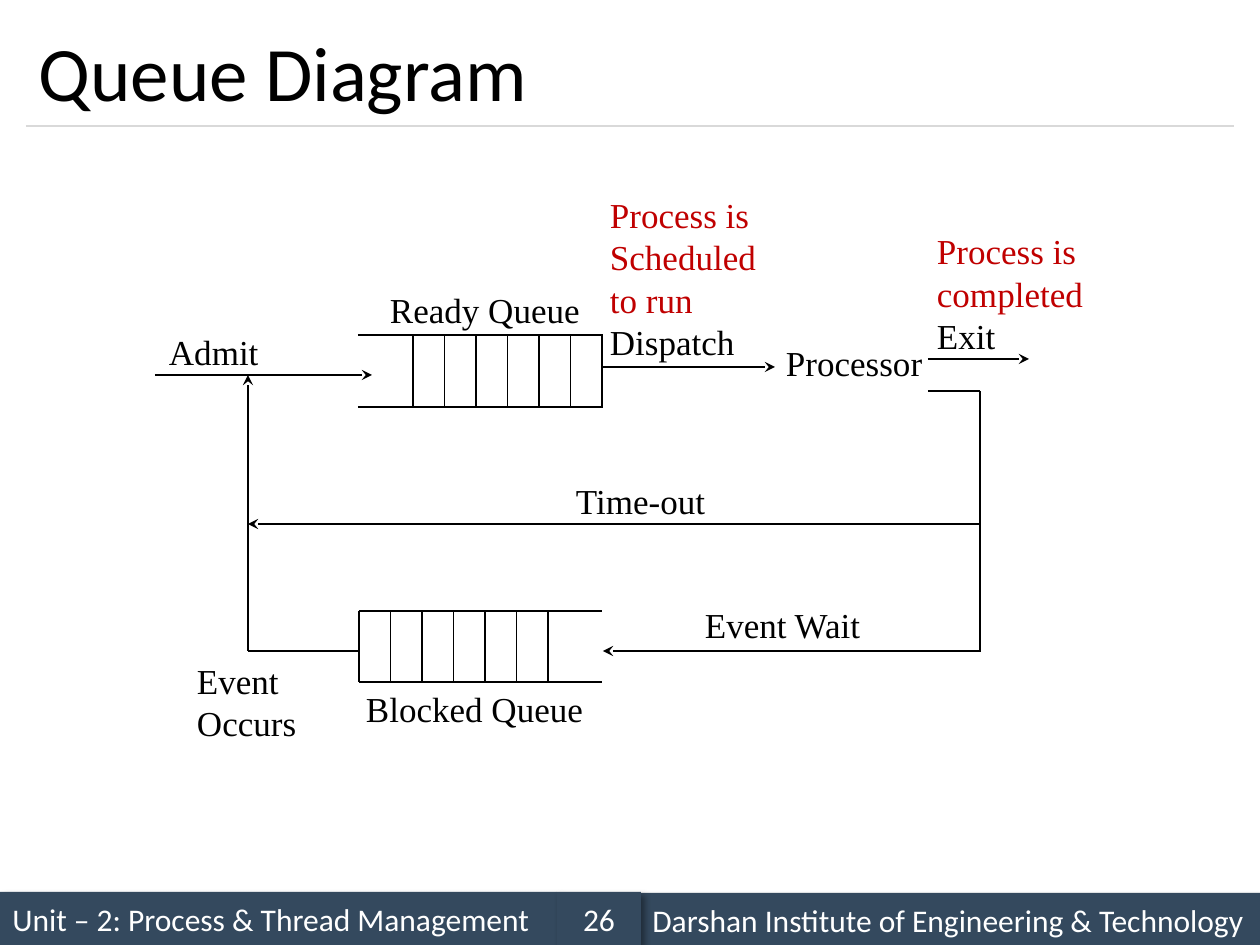
"""Build the Queue Diagram slide with python-pptx."""
from lxml import etree
from pptx import Presentation
from pptx import util as u
from pptx.dml.color import RGBColor
from pptx.enum import shapes, text
from pptx.oxml import parse_xml
from pptx.oxml.ns import nsdecls, qn

PX = 914400 / 126
THEME = {
    "black": RGBColor(0x00, 0x00, 0x00),
    "white": RGBColor(0xFF, 0xFF, 0xFF),
    "red": RGBColor(0xC0, 0x00, 0x00),
    "rule": RGBColor(0xD9, 0xD9, 0xD9),
    "bar": RGBColor(0x34, 0x49, 0x5E),
    "heading_font": "Calibri",
    "label_font": "Times New Roman",
    "title_size": u.Pt(44),
    "label_size": u.Pt(20),
    "footer_size": u.Pt(18),
}


def draw_line(page, points, color="black", width=1, arrow=False):
    ends = [round(value * PX) for value in points]
    line = page.shapes.add_connector(shapes.MSO_CONNECTOR.STRAIGHT, *ends)
    line.line.color.rgb = THEME[color]
    line.line.width = u.Pt(width)
    if arrow:
        tail = etree.SubElement(line.line._get_or_add_ln(), qn("a:tailEnd"))
        tail.set("type", "stealth")
    etree.SubElement(line._element.spPr, qn("a:effectLst"))


def add_span(para, wording, font, size, color):
    span = para.add_run()
    span.text = wording
    span.font.name = THEME[font]
    span.font.size = THEME[size]
    span.font.color.rgb = THEME[color]


deck = Presentation()
deck.slide_width = round(1260 * PX)
deck.slide_height = round(945 * PX)
page = deck.slides.add_slide(deck.slide_layouts[5])

footer_cells = [
    (0, 892, 557, "Unit – 2: Process & Thread Management", text.PP_ALIGN.LEFT),
    (640, 893, 620, "Darshan Institute of Engineering & Technology", text.PP_ALIGN.LEFT),
    (557, 892, 84, "26", text.PP_ALIGN.CENTER),
]
for left, top, width, wording, alignment in footer_cells:
    place = [round(value * PX) for value in (left, top, width, 53)]
    bar = page.shapes.add_shape(shapes.MSO_SHAPE.RECTANGLE, *place)
    bar.fill.solid()
    bar.fill.fore_color.rgb = THEME["bar"]
    bar.line.fill.background()
    bar.shadow.inherit = False
    bar._element.spPr.find(qn("a:effectLst")).append(parse_xml(
        f'<a:outerShdw {nsdecls("a")} blurRad="50800" dist="38100" dir="2700000" algn="tl" '
        'rotWithShape="0"><a:srgbClr val="000000"><a:alpha val="40000"/></a:srgbClr></a:outerShdw>'))
    frame = bar.text_frame
    frame.word_wrap = True
    frame.vertical_anchor = text.MSO_ANCHOR.MIDDLE
    para = frame.paragraphs[0]
    para.alignment = alignment
    add_span(para, wording, "heading_font", "footer_size", "white")

draw_line(page, (26, 126, 1234, 126), "rule", 0.75)

title = page.shapes.title
title.left, title.top, title.width, title.height = [round(value * PX) for value in (26, 15, 1208, 111)]
frame = title.text_frame
frame.auto_size = text.MSO_AUTO_SIZE.NONE
frame.vertical_anchor = text.MSO_ANCHOR.MIDDLE
para = frame.paragraphs[0]
para.alignment = text.PP_ALIGN.LEFT
add_span(para, "Queue Diagram", "heading_font", "title_size", "black")

queues = [
    (359, 602, 611, 682, 359, 1),
    (358, 603, 335, 407, 602, -1),
]
for left, right, top, bottom, closed_end, direction in queues:
    for edge in (top, bottom):
        draw_line(page, (left, edge, right, edge))
    for slot in range(7):
        divider = closed_end + direction * slot * 63 / 2
        draw_line(page, (divider, top, divider, bottom))

flows = [
    (155, 375, 372, 375, True),
    (603, 367, 775, 367, True),
    (928, 359, 1029, 359, True),
    (359, 651, 248, 651, False),
    (248, 651, 248, 375, True),
    (928, 391, 980, 391, False),
    (980, 391, 980, 651, False),
    (981, 651, 603, 651, True),
    (981, 524, 248, 524, True),
]
for *points, arrow in flows:
    draw_line(page, points, arrow=arrow)

labels = [
    (160, 325, 110, 52, [], ["Admit"]),
    (381, 284, 210, 52, [], ["Ready Queue"]),
    (601, 189, 168, 179, ["Process is", "Scheduled", "to run"], ["Dispatch"]),
    (567, 475, 149, 52, [], ["Time-out"]),
    (696, 599, 175, 52, [], ["Event Wait"]),
    (928, 225, 175, 136, ["Process is", "completed"], ["Exit"]),
    (777, 337, 156, 52, [], ["Processor"]),
    (357, 683, 238, 52, [], ["Blocked Queue"]),
    (188, 654, 118, 94, [], ["Event", "Occurs"]),
]
for left, top, width, height, notes, names in labels:
    box = page.shapes.add_textbox(*[round(value * PX) for value in (left, top, width, height)])
    frame = box.text_frame
    frame.word_wrap = False
    frame.auto_size = text.MSO_AUTO_SIZE.SHAPE_TO_FIT_TEXT
    frame.margin_left = frame.margin_right = round(9 * PX)
    frame.margin_top = frame.margin_bottom = round(5 * PX)
    for index, wording in enumerate(notes + names):
        para = frame.add_paragraph() if index else frame.paragraphs[0]
        color = "red" if index < len(notes) else "black"
        add_span(para, wording, "label_font", "label_size", color)

deck.save("out.pptx")
